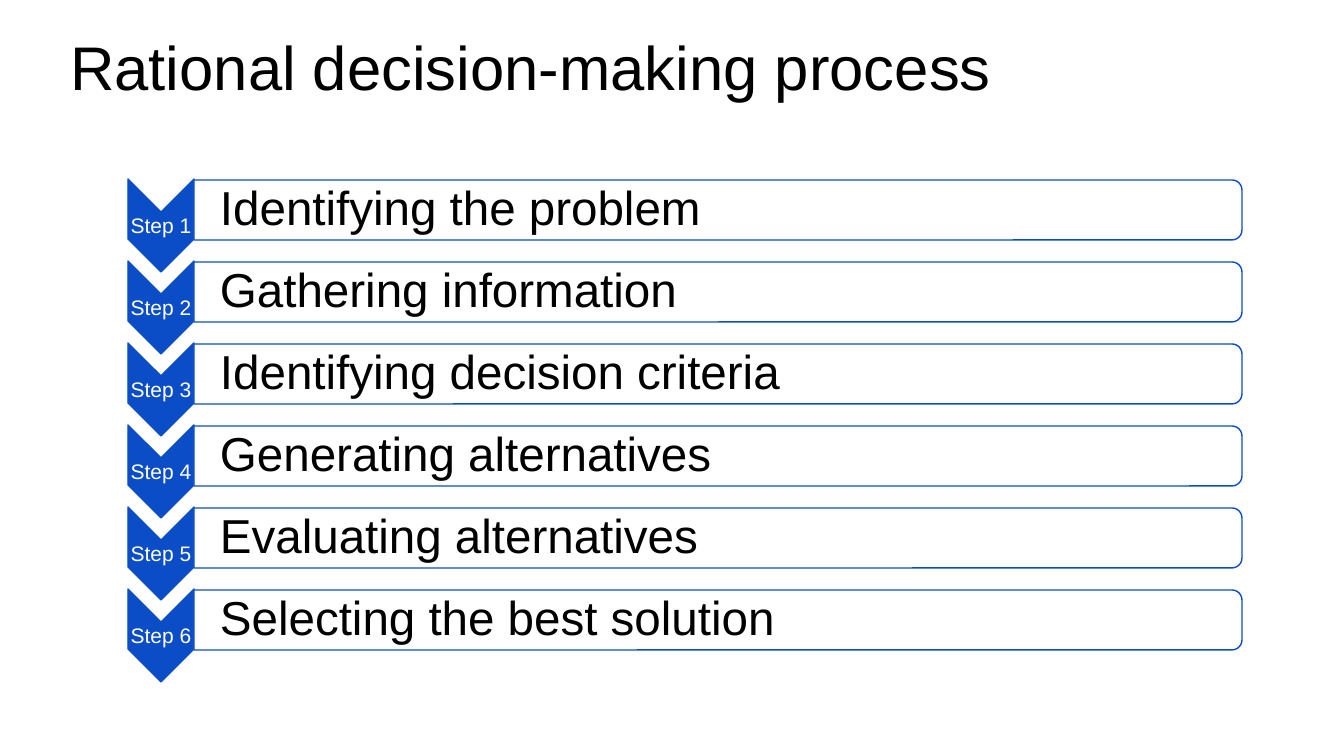
from lxml.etree import SubElement
from pptx import Presentation
from pptx.dml.color import RGBColor
from pptx.enum.shapes import MSO_SHAPE
from pptx.enum.text import MSO_ANCHOR, PP_ALIGN
from pptx.oxml.ns import qn
from pptx.util import Emu, Pt

BLUE = RGBColor(0x0B, 0x4D, 0xC7)
WHITE = RGBColor(0xFF, 0xFF, 0xFF)
BLACK = RGBColor(0x00, 0x00, 0x00)
FONT = "Arial"
ROW_TOP = 179
ROW_PITCH = 82
STEPS = [
    "Identifying the problem",
    "Gathering information",
    "Identifying decision criteria",
    "Generating alternatives",
    "Evaluating alternatives",
    "Selecting the best solution",
]


def px(value):
    return Emu(round(value * 914400 / 100.8))


def write_text(frame, text, size, color, align=PP_ALIGN.LEFT):
    paragraph = frame.paragraphs[0]
    paragraph.alignment = align
    paragraph.line_spacing = 0.9
    run = paragraph.add_run()
    run.text = text
    run.font.name = FONT
    run.font.size = Pt(size)
    run.font.color.rgb = color


def add_title(slide, text):
    title = slide.shapes.title
    title.left, title.top, title.width, title.height = px(60), px(32), px(1227), px(147)
    title.text_frame.vertical_anchor = MSO_ANCHOR.TOP
    write_text(title.text_frame, text, 44, BLACK)


def add_turned_shape(shapes, preset, left, top, width, height, fill):
    """Add a shape turned a quarter clockwise that covers the given box on the slide."""
    shift = (width - height) / 2
    shape = shapes.add_shape(preset, px(left + shift), px(top - shift), px(height), px(width))
    shape.rotation = 90
    shape.shadow.inherit = False
    shape.fill.solid()
    shape.fill.fore_color.rgb = fill
    shape.line.color.rgb = BLUE
    shape.line.width = Pt(1)
    return shape


def set_opacity(shape, percent):
    color = shape.fill._xPr.find(qn("a:solidFill"))[0]
    SubElement(color, qn("a:alpha"), val=str(percent * 1000))


def add_label(shapes, box, text, size, color, align, left_inset, inset):
    label = shapes.add_textbox(*map(px, box))
    frame = label.text_frame
    frame.word_wrap = True
    frame.vertical_anchor = MSO_ANCHOR.MIDDLE
    frame.margin_left = px(left_inset)
    frame.margin_top = frame.margin_right = frame.margin_bottom = px(inset)
    write_text(frame, text, size, color, align)


def add_step(shapes, number, text):
    top = ROW_TOP + (number - 1) * ROW_PITCH
    add_turned_shape(shapes, MSO_SHAPE.CHEVRON, 128, top, 66, 93, BLUE)
    add_label(shapes, (128, top + 34, 66, 28), f"Step {number}", 15, WHITE,
              PP_ALIGN.CENTER, 1, 1)
    bar = add_turned_shape(shapes, MSO_SHAPE.ROUND_2_SAME_RECTANGLE,
                           194, top + 1, 1048, 60, WHITE)
    set_opacity(bar, 90)
    add_label(shapes, (194, top + 4, 1044, 54), text, 34, BLACK, PP_ALIGN.LEFT, 26, 2)


def main():
    presentation = Presentation()
    presentation.slide_width, presentation.slide_height = px(1344), px(756)
    slide = presentation.slides.add_slide(presentation.slide_layouts[5])
    add_title(slide, "Rational decision-making process")
    process = slide.shapes.add_group_shape()
    for number, text in enumerate(STEPS, start=1):
        add_step(process.shapes, number, text)
    presentation.save("out.pptx")


if __name__ == "__main__":
    main()
